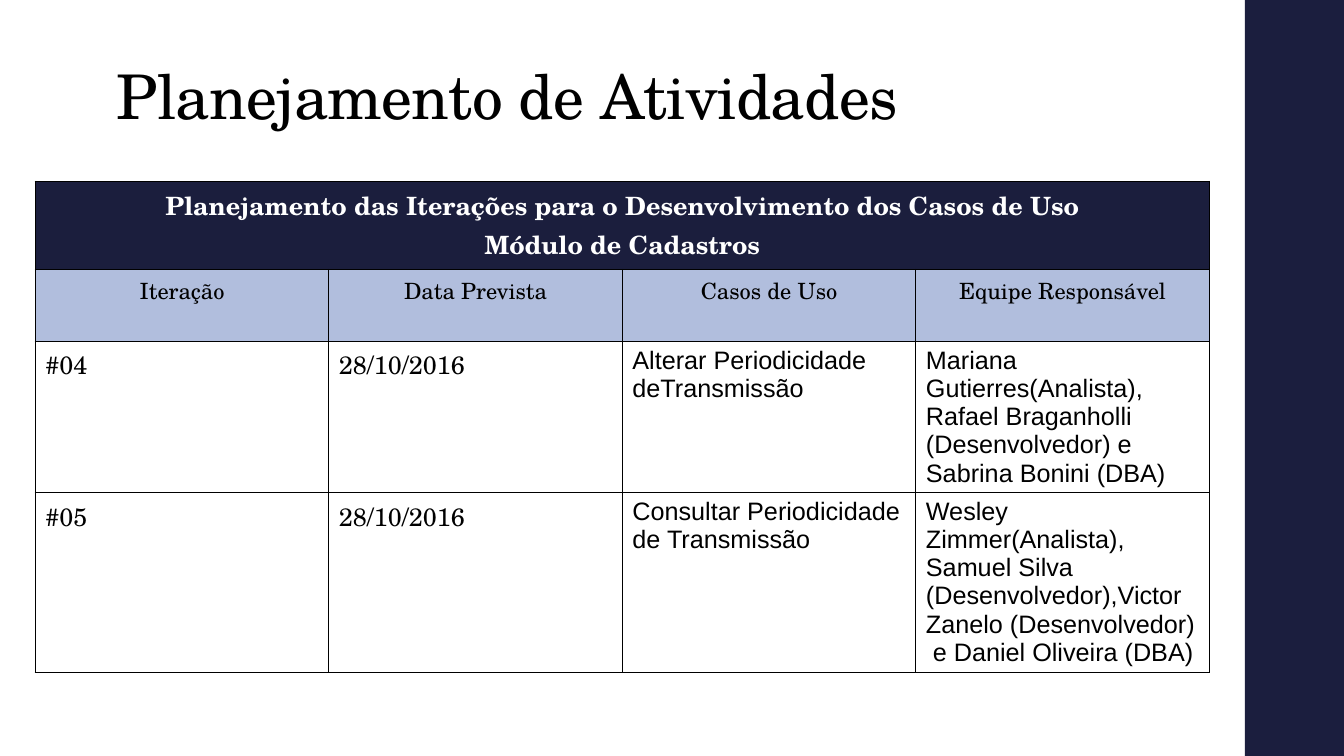
from pptx import Presentation
from pptx.dml.color import RGBColor
from pptx.enum.shapes import MSO_SHAPE
from pptx.enum.text import MSO_ANCHOR, MSO_AUTO_SIZE, PP_ALIGN
from pptx.oxml import parse_xml
from pptx.oxml.ns import nsdecls
from pptx.util import Cm, Pt

NAVY = RGBColor(0x1B, 0x1E, 0x3E)
HEADER = RGBColor(0x1B, 0x1E, 0x3D)
PALE_BLUE = RGBColor(0xB1, 0xBE, 0xDD)
WHITE = RGBColor(0xFF, 0xFF, 0xFF)
BLACK = RGBColor(0x00, 0x00, 0x00)
SERIF = "TeX Gyre Schola"
SANS = "Arial"

HEADING = ("Planejamento das Iterações para o Desenvolvimento dos Casos de Uso\n"
           "Módulo de Cadastros")
COLUMNS = ["Iteração", "Data Prevista", "Casos de Uso", "Equipe Responsável"]
ITERATIONS = [
    ["#04", "28/10/2016", "Alterar Periodicidade deTransmissão",
     "Mariana Gutierres(Analista), Rafael Braganholli (Desenvolvedor) "
     "e Sabrina Bonini (DBA)"],
    ["#05", "28/10/2016", "Consultar Periodicidade de Transmissão",
     "Wesley Zimmer(Analista), Samuel Silva (Desenvolvedor),"
     "Victor Zanelo (Desenvolvedor)  e Daniel Oliveira (DBA)"],
]


class SlideBuilder:
    """Holds the style and the current slide, and draws each kind of element."""

    def __init__(self, prs):
        self.s = prs.slides.add_slide(prs.slide_layouts[5])

    def format_text(self, tf, size, color, font=SERIF, bold=False,
                    align=PP_ALIGN.LEFT):
        for p in tf.paragraphs:
            p.alignment = align
            for r in p.runs:
                r.font.name = font
                r.font.size = Pt(size)
                r.font.bold = bold
                r.font.color.rgb = color

    def bar(self, left, top, width, height, color):
        sp = self.s.shapes.add_shape(MSO_SHAPE.RECTANGLE, left, top, width, height)
        sp.shadow.inherit = False
        sp.fill.solid()
        sp.fill.fore_color.rgb = color
        sp.line.fill.background()

    def title(self, text, left, top, width, height):
        sp = self.s.shapes.title
        sp.left, sp.top, sp.width, sp.height = left, top, width, height
        tf = sp.text_frame
        tf.text = text
        tf.word_wrap = True
        tf.auto_size = MSO_AUTO_SIZE.NONE
        tf.vertical_anchor = MSO_ANCHOR.BOTTOM
        self.format_text(tf, 44, BLACK)
        p = tf.paragraphs[0]
        p.line_spacing = 0.9
        p.runs[0].font._element.set("spc", "-50")

    def border(self, cell):
        tc_pr = cell._tc.get_or_add_tcPr()
        for i, side in enumerate(("lnL", "lnR", "lnT", "lnB")):
            tc_pr.insert(i, parse_xml(
                f'<a:{side} {nsdecls("a")} w="{Pt(0.96)}"><a:solidFill>'
                f'<a:srgbClr val="{BLACK}"/></a:solidFill></a:{side}>'))

    def cell(self, cell, text, fill, size, color=BLACK, **style):
        cell.text_frame.text = text
        self.format_text(cell.text_frame, size, color, **style)
        cell.fill.solid()
        cell.fill.fore_color.rgb = fill

    def table(self, left, top, width, row_heights):
        table = self.s.shapes.add_table(
            len(row_heights), len(COLUMNS), left, top, width, sum(row_heights)).table
        for row, height in zip(table.rows, row_heights):
            row.height = height
        table.cell(0, 0).merge(table.cell(0, len(COLUMNS) - 1))
        self.cell(table.cell(0, 0), HEADING, HEADER, 18, WHITE,
                  bold=True, align=PP_ALIGN.CENTER)
        for c, name in enumerate(COLUMNS):
            self.cell(table.cell(1, c), name, PALE_BLUE, 16, align=PP_ALIGN.CENTER)
        for r, values in enumerate(ITERATIONS, start=2):
            for c, value in enumerate(values):
                self.cell(table.cell(r, c), value, WHITE, 18,
                          font=SERIF if c < 2 else SANS)
        for cell in table.iter_cells():
            self.border(cell)


def main():
    prs = Presentation()
    prs.slide_width, prs.slide_height = Cm(33.87), Cm(19.05)
    slide = SlideBuilder(prs)
    slide.bar(Cm(31.37), Cm(0), Cm(2.5), prs.slide_height, NAVY)
    slide.title("Planejamento de Atividades", Cm(2.69), Cm(1.47), Cm(26.92), Cm(2))
    slide.table(Cm(0.89), Cm(4.57), Cm(29.59),
                [Cm(2.21), Cm(1.81), Cm(3.81), Cm(4.53)])
    prs.save("out.pptx")


if __name__ == "__main__":
    main()
